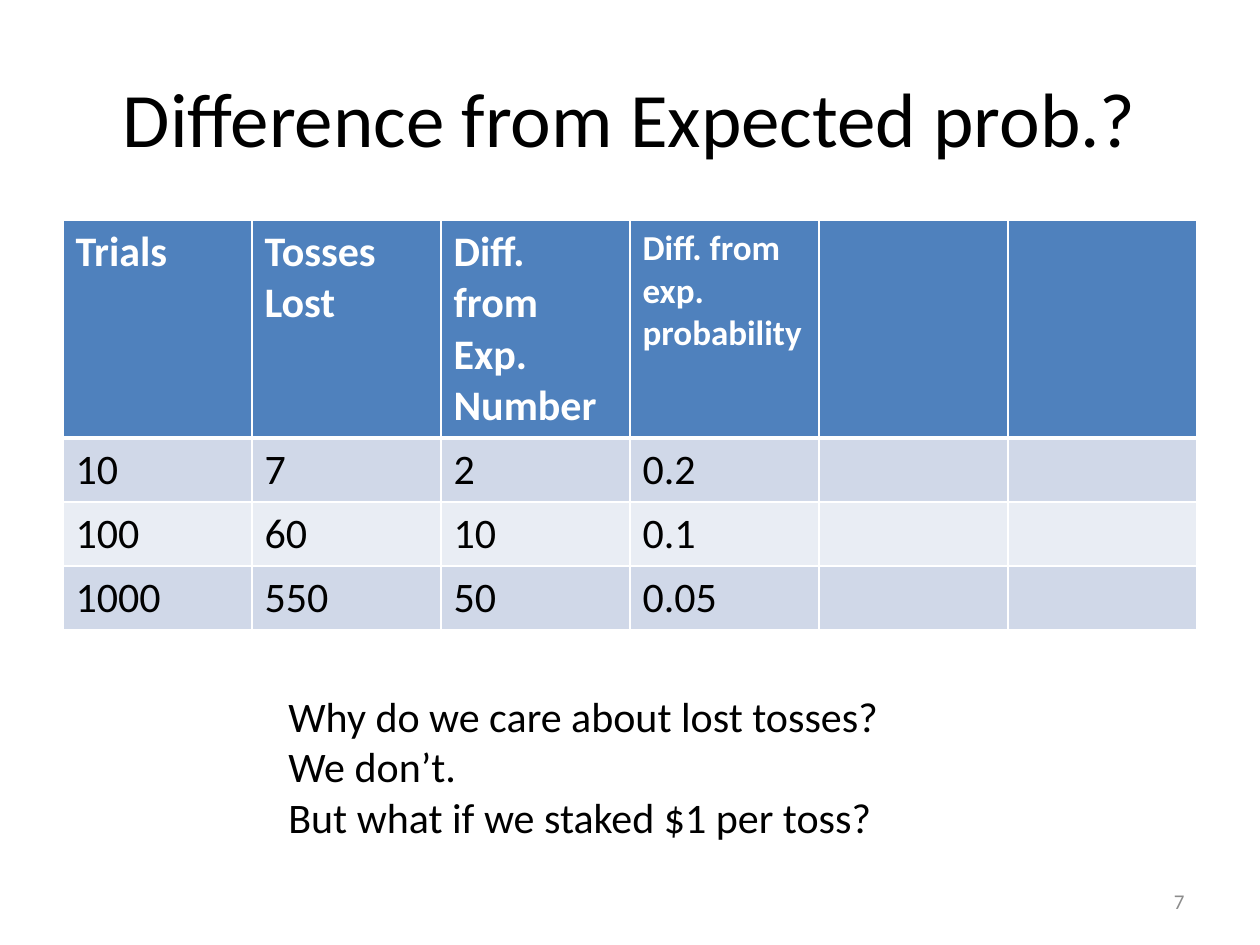
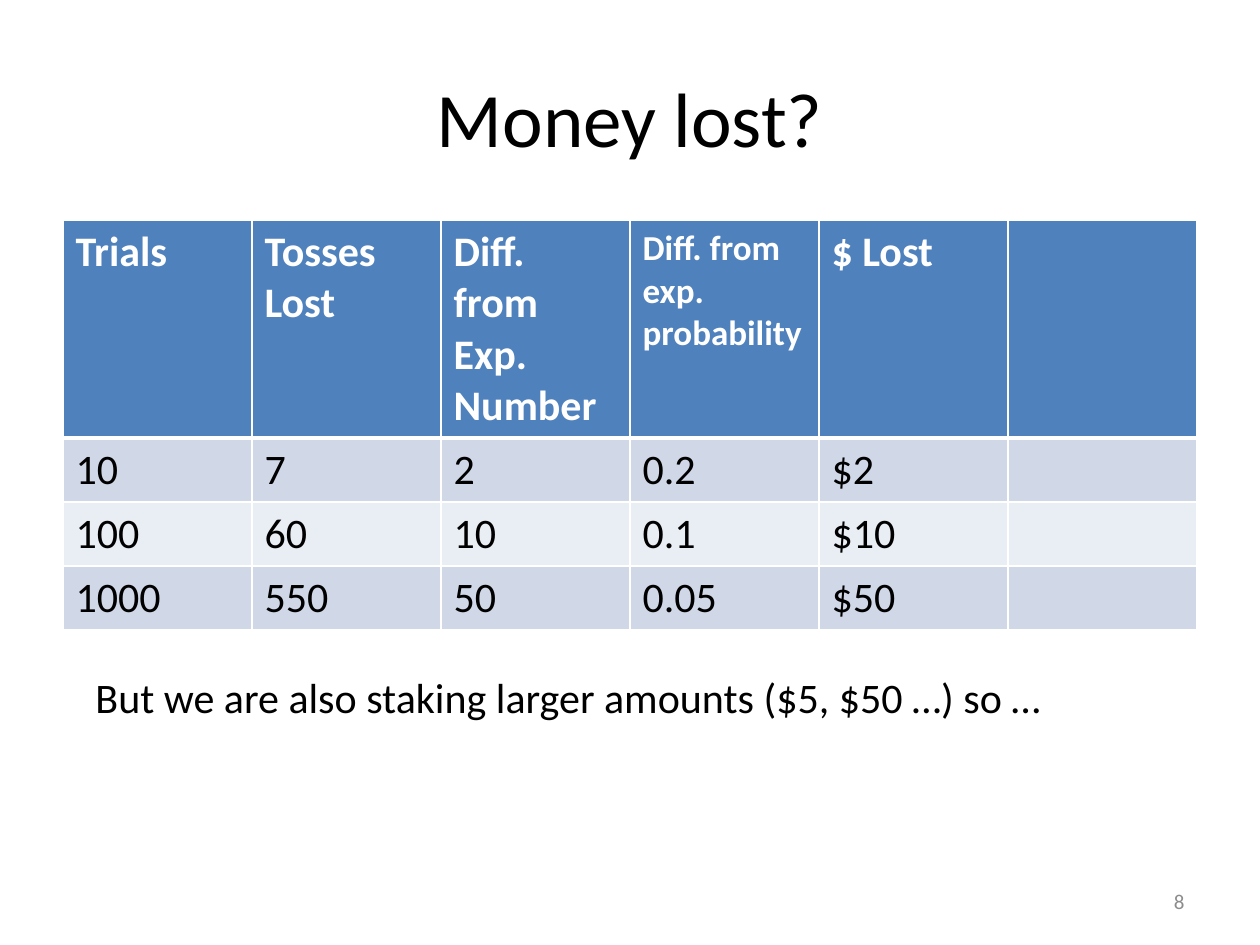
from dataclasses import dataclass

from lxml import etree
from pptx import Presentation
from pptx import util as u
from pptx.dml.color import RGBColor
from pptx.enum import text
from pptx.oxml import ns


@dataclass(frozen=True)
class Theme:
    font: str = "Calibri"
    ink: str = "000000"
    paper: str = "FFFFFF"
    header: str = "4F81BD"
    bands: tuple = ("D0D8E8", "E9EDF4")
    muted: str = "8C8C8C"
    title_size: int = 44
    body_size: int = 24
    small_size: int = 20
    number_size: int = 12
    thin: int = 1
    thick: int = 3


@dataclass(frozen=True)
class Box:
    left: float
    top: float
    width: float
    height: float

    def lengths(self):
        return [u.Pt(side) for side in (self.left, self.top, self.width, self.height)]


THEME = Theme()
TITLE_ONLY = 5
TITLE_BOX = Box(36, 21.6, 648, 90)
TABLE_BOX = Box(36, 126, 648, 233.7)
NUMBER_BOX = Box(516, 500.4, 168, 28.8)
BODY_ROW_HEIGHT = 36.5

TOSS_RESULTS = [
    ["Trials", "Tosses Lost", "Diff. from Exp. Number", "Diff. from exp. probability", "", ""],
    ["10", "7", "2", "0.2", "", ""],
    ["100", "60", "10", "0.1", "", ""],
    ["1000", "550", "50", "0.05", "", ""],
]
MONEY_LOST = ["$ Lost", "$2", "$10", "$50"]
PROBABILITY_COLUMN = 3


def add_span(para, words, size, color=THEME.ink, bold=False):
    span = para.add_run()
    span.text = words
    span.font.name = THEME.font
    span.font.size = u.Pt(size)
    span.font.bold = bold
    span.font.color.rgb = RGBColor.from_string(color)


def set_title(page, box, words):
    title = page.shapes.title
    title.left, title.top, title.width, title.height = box.lengths()
    title.text_frame.vertical_anchor = text.MSO_ANCHOR.MIDDLE
    para = title.text_frame.paragraphs[0]
    para.alignment = text.PP_ALIGN.CENTER
    add_span(para, words, THEME.title_size)


def set_borders(cell, top, bottom):
    properties = cell._tc.get_or_add_tcPr()
    widths = {"a:lnL": THEME.thin, "a:lnR": THEME.thin, "a:lnT": top, "a:lnB": bottom}
    for position, (side, width) in enumerate(widths.items()):
        line = etree.Element(ns.qn(side), w=str(u.Pt(width)))
        fill = etree.SubElement(line, ns.qn("a:solidFill"))
        etree.SubElement(fill, ns.qn("a:srgbClr"), val=THEME.paper)
        properties.insert(position, line)


def fill_cell(cell, words, row, column):
    is_header = row == 0
    fill = THEME.header if is_header else THEME.bands[(row - 1) % 2]
    cell.fill.solid()
    cell.fill.fore_color.rgb = RGBColor.from_string(fill)
    set_borders(
        cell,
        top=THEME.thick if row == 1 else THEME.thin,
        bottom=THEME.thick if is_header else THEME.thin,
    )
    if words:
        is_small = is_header and column == PROBABILITY_COLUMN
        size = THEME.small_size if is_small else THEME.body_size
        color = THEME.paper if is_header else THEME.ink
        add_span(cell.text_frame.paragraphs[0], words, size, color, is_header)


def add_results_table(page, box, rows):
    table = page.shapes.add_table(len(rows), len(rows[0]), *box.lengths()).table
    for column in table.columns:
        column.width = u.Pt(box.width / len(rows[0]))
    for row in table.rows:
        row.height = u.Pt(BODY_ROW_HEIGHT)
    table.rows[0].height = u.Pt(box.height - BODY_ROW_HEIGHT * (len(rows) - 1))
    for row, values in enumerate(rows):
        for column, words in enumerate(values):
            fill_cell(table.cell(row, column), words, row, column)


def add_remarks(page, box, lines):
    frame = page.shapes.add_textbox(*box.lengths()).text_frame
    frame.word_wrap = False
    frame.auto_size = text.MSO_AUTO_SIZE.SHAPE_TO_FIT_TEXT
    for index, words in enumerate(lines):
        para = frame.add_paragraph() if index else frame.paragraphs[0]
        add_span(para, words, THEME.body_size)


def add_page_number(page, box, number):
    frame = page.shapes.add_textbox(*box.lengths()).text_frame
    frame.word_wrap = True
    frame.vertical_anchor = text.MSO_ANCHOR.MIDDLE
    para = frame.paragraphs[0]
    para.alignment = text.PP_ALIGN.RIGHT
    add_span(para, str(number), THEME.number_size, THEME.muted)


def add_results_page(deck, number, title, rows, remarks_box, remarks):
    page = deck.slides.add_slide(deck.slide_layouts[TITLE_ONLY])
    set_title(page, TITLE_BOX, title)
    add_results_table(page, TABLE_BOX, rows)
    add_remarks(page, remarks_box, remarks)
    add_page_number(page, NUMBER_BOX, number)


def main():
    deck = Presentation()
    deck.slide_width, deck.slide_height = u.Pt(720), u.Pt(540)
    add_results_page(
        deck, 7, "Difference from Expected prob.?", TOSS_RESULTS,
        Box(157.7, 391, 356.4, 94.3),
        [
            "Why do we care about lost tosses?",
            "We don’t.",
            "But what if we staked $1 per toss?",
        ],
    )
    money_rows = [
        values[:4] + [money, ""] for values, money in zip(TOSS_RESULTS, MONEY_LOST)
    ]
    add_results_page(
        deck, 8, "Money lost?", money_rows,
        Box(47.5, 380.2, 568, 36),
        ["But we are also staking larger amounts ($5, $50 …) so …"],
    )
    deck.save("out.pptx")


if __name__ == "__main__":
    main()
